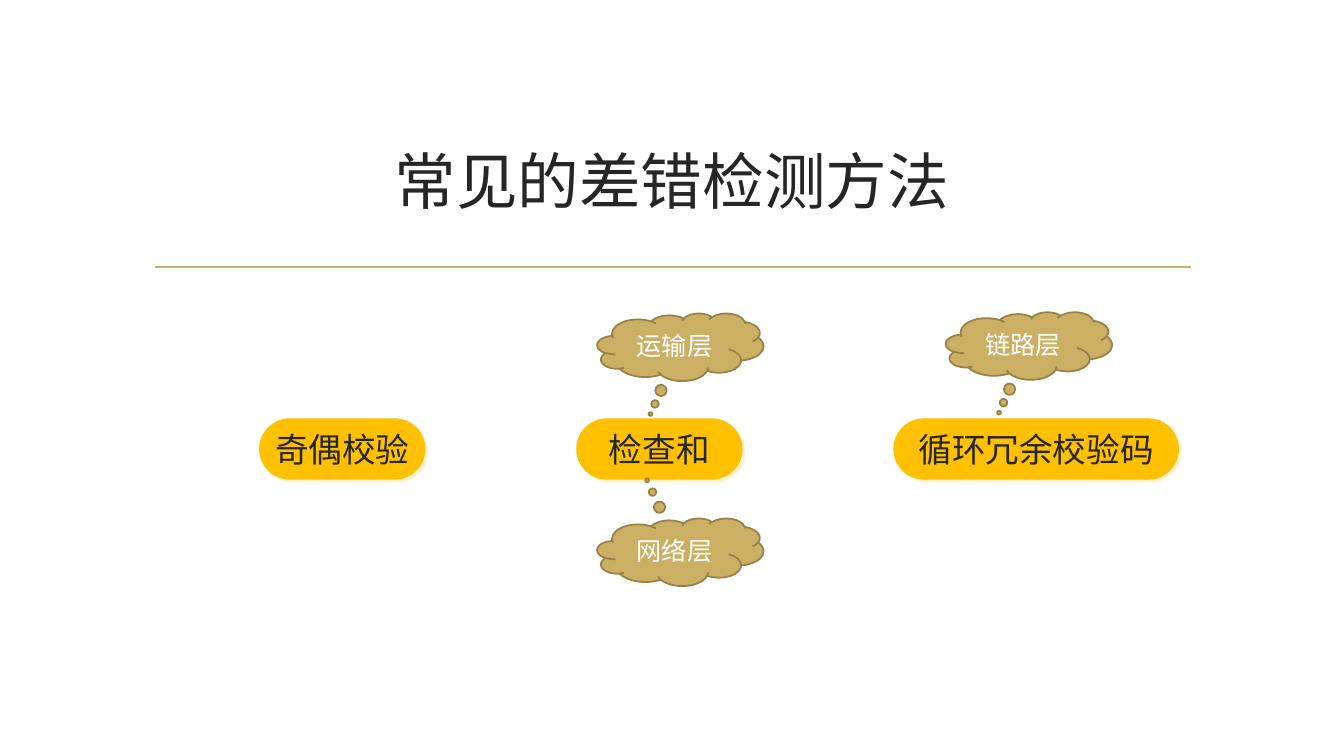
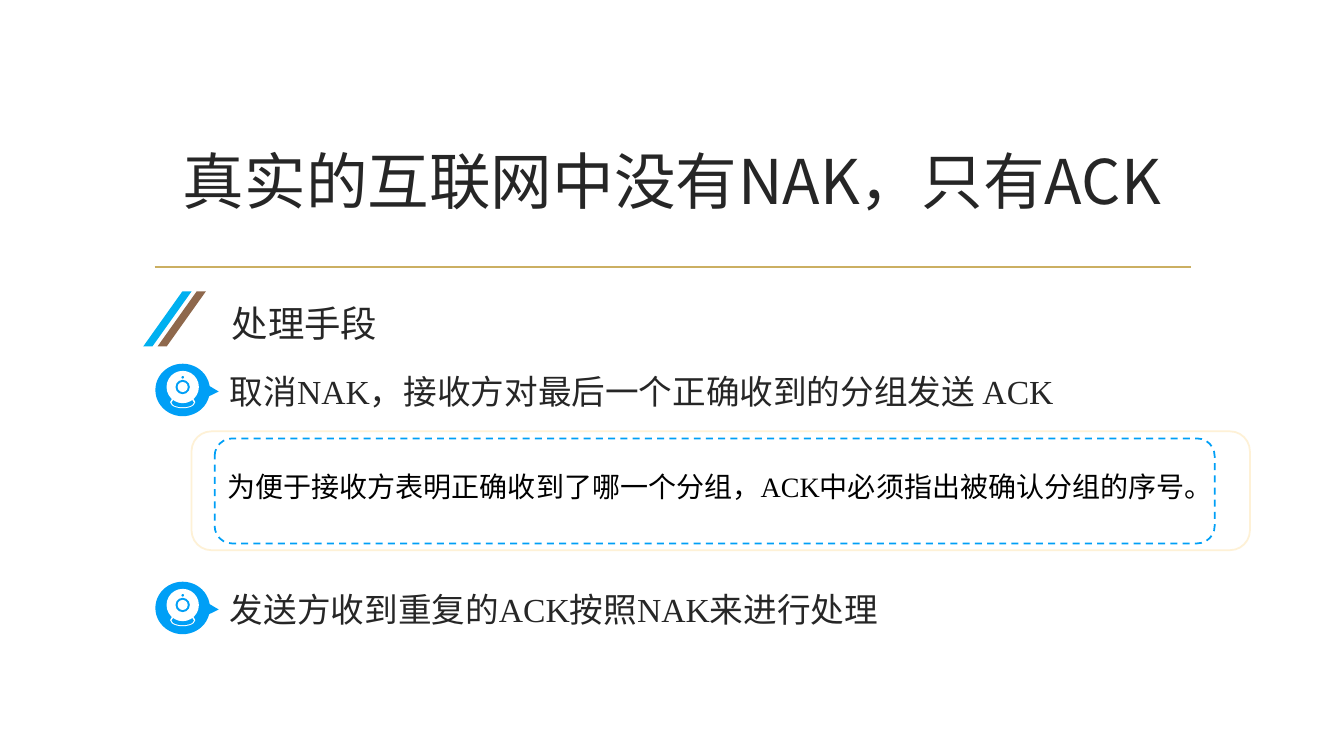
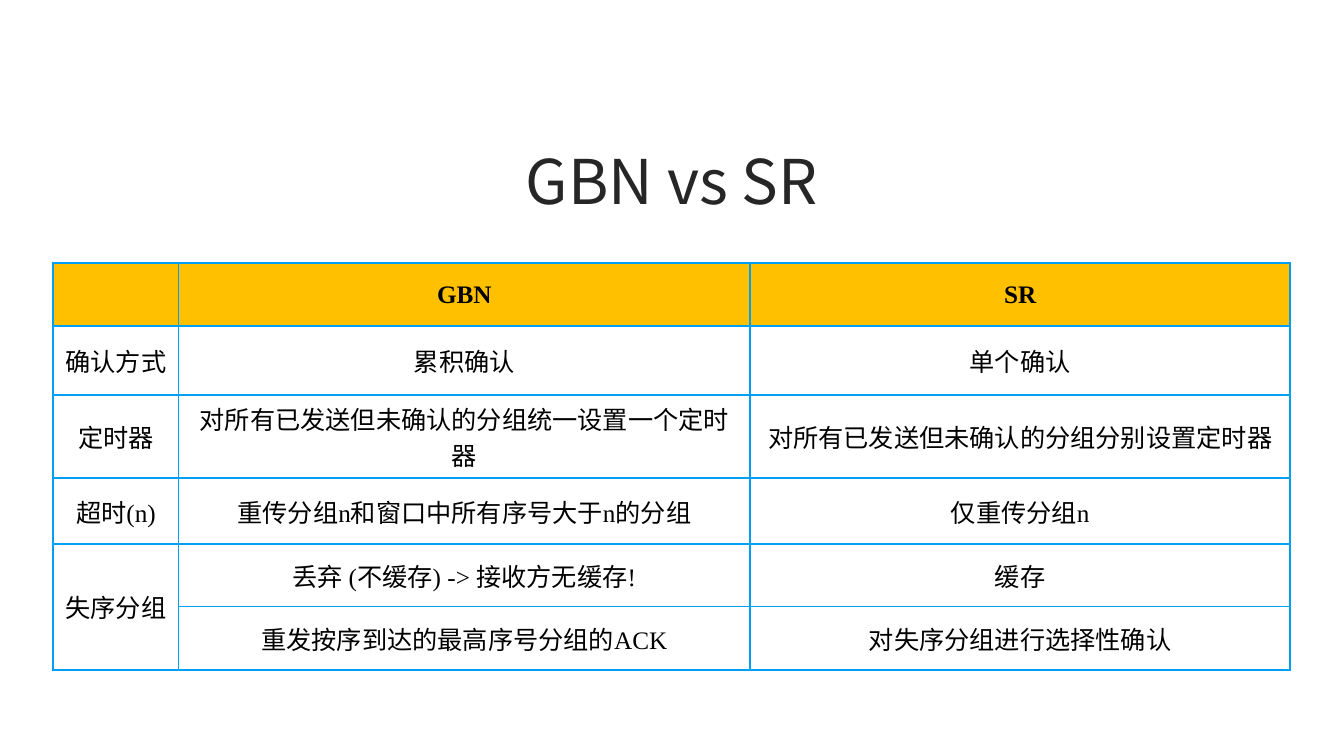
from collections import namedtuple

from lxml import etree
from pptx import Presentation
from pptx import util as u
from pptx.dml.color import RGBColor
from pptx.enum import dml, shapes, text
from pptx.oxml.ns import qn

WIDE, HIGH = u.Inches(13.33), u.Inches(7.5)
COLS, ROWS = 32, 18
SANS, SERIF, ROUND = "Noto Sans CJK SC", "Times New Roman", "Roboto"
INK, BLACK, WHITE = "262626", "000000", "FFFFFF"
GOLD, AMBER, BLUE = "CBAF62", "FFC000", "009FF6"
KIND = shapes.MSO_SHAPE
LEFT, MID = text.PP_ALIGN.LEFT, text.PP_ALIGN.CENTER

Box = namedtuple("Box", "x y w h")


def across(n):
    return round(WIDE * n / COLS)


def down(n):
    return round(HIGH * n / ROWS)


def place(box):
    return across(box.x), down(box.y), across(box.w), down(box.h)


def shift(box, x, y, w, h):
    return Box(box.x + x, box.y + y, w, h)


def rgb(code):
    return RGBColor.from_string(code)


def write(frame, words, size, face, color, align=MID, bold=False, space=None):
    frame.text = words
    frame.vertical_anchor = text.MSO_ANCHOR.MIDDLE
    para = frame.paragraphs[0]
    para.alignment = align
    if space:
        para.line_spacing = space
    for run in para.runs:
        font = run.font
        font.size, font.bold, font.name = u.Pt(size), bold, face
        font.color.rgb = rgb(color)
        east = etree.SubElement(run.font._element, qn("a:ea"))
        east.set("typeface", SANS)


def draw(slide, kind, box, fill=None, line=None, adj=()):
    form = slide.shapes.add_shape(kind, *place(box))
    form.shadow.inherit = False
    for i, n in enumerate(adj):
        form.adjustments[i] = n
    if fill:
        form.fill.solid()
        form.fill.fore_color.rgb = rgb(fill)
    else:
        form.fill.background()
    if line:
        form.line.color.rgb = rgb(line)
        form.line.width = u.Pt(1.25)
    else:
        form.line.fill.background()
    return form


def label(slide, box, words, size, color, space=None):
    frame = slide.shapes.add_textbox(*place(box)).text_frame
    frame.word_wrap = True
    frame.margin_right = 0
    write(frame, words, size, SERIF, color, LEFT, space=space)


def style(deck):
    plan = deck.slide_layouts[5]
    title = plan.placeholders[0]
    title.left, title.top, title.width, title.height = place(Box(3.4, 2.57, 25.2, 3.43))
    return plan


def rule(slide, plan):
    line = slide.shapes.add_connector(
        shapes.MSO_CONNECTOR.STRAIGHT,
        across(3.68), down(6.36), across(28.35), down(6.36))
    line.line.color.rgb = rgb(GOLD)
    line.line.width = u.Pt(1.25)
    etree.SubElement(line.element.spPr, qn("a:effectLst"))
    plan.shapes.element.append(line.element)


def start(deck, plan, words):
    slide = deck.slides.add_slide(plan)
    frame = slide.shapes.title.text_frame
    frame.auto_size = text.MSO_AUTO_SIZE.NONE
    write(frame, words, 44, SANS, INK)
    return slide


def glow(form):
    soft = etree.SubElement(
        form.element.spPr.find(qn("a:effectLst")), qn("a:outerShdw"),
        dist=str(u.Pt(2.8)), dir="2700000", algn="tl", rotWithShape="0")
    etree.SubElement(soft, qn("a:srgbClr"), val="FFF2CC")


def method(slide, box, words, clouds):
    pill = draw(slide, KIND.ROUNDED_RECTANGLE, box, AMBER, adj=[0.5])
    glow(pill)
    pill.text_frame.word_wrap = False
    write(pill.text_frame, words, 24, SANS, INK)
    for layer, x, y, tail in clouds:
        spot = shift(box, x, y, 3.96, 1.61)
        cloud = draw(slide, KIND.CLOUD_CALLOUT, spot, GOLD, "968149", tail)
        write(cloud.text_frame, layer, 18, ROUND, WHITE)


def methods(slide):
    low, high = (-0.18, 0.99), (-0.2, -1.06)
    items = [
        ("奇偶校验", 3.96, []),
        ("检查和", 3.96, [("运输层", 0.5, -2.5, low), ("网络层", 0.5, 2.38, high)]),
        ("循环冗余校验码", 6.8, [("链路层", 1.25, -2.53, low)]),
    ]
    for i, (words, wide, clouds) in enumerate(items):
        method(slide, Box(6.17 + 7.55 * i, 9.96, wide, 1.46), words, clouds)


def heading(slide, box, words):
    for i, color in enumerate(["00B0F0", "8E684C"]):
        bar = shift(box, 0.34 * i, 0, 1.15, box.h)
        draw(slide, KIND.PARALLELOGRAM, bar, color, adj=[0.81])
    label(slide, shift(box, 1.87, 0.09, 5.57, 1.3), words, 26, INK)


def camera(slide, box):
    draw(slide, KIND.OVAL_CALLOUT, box, BLUE, adj=[0.66, 0.03])
    parts = [
        (0.29, 0.6, 0.29, WHITE),
        (0.3, 0.53, 0.22, BLUE),
        (-0.07, 0.77, 0.77, WHITE),
        (-0.07, 0.34, 0.34, BLUE),
        (-0.07, 0.24, 0.24, WHITE),
        (-0.3, 0.06, 0.06, BLUE),
    ]
    for rise, w, h, color in parts:
        spot = shift(box, (box.w - w) / 2, (box.h - h) / 2 + rise, w, h)
        draw(slide, KIND.OVAL, spot, color)


def point(slide, box, words):
    camera(slide, Box(box.x, box.y, 1.3, box.h))
    label(slide, shift(box, 1.54, 0, box.w - 1.54, 1.22), words, 24, INK, 1.1)


def note(slide, box, words):
    draw(slide, KIND.ROUNDED_RECTANGLE, box, WHITE, "FEF1D6")
    label(slide, shift(box, 0.62, 0.79, 23.74, 1.06), words, 20, BLACK)
    dash = draw(slide, KIND.ROUNDED_RECTANGLE, shift(box, 0.55, 0.17, 23.81, 2.5), line=BLUE)
    dash.line.dash_style = dml.MSO_LINE.DASH


def border(cell, color):
    props = cell._tc.get_or_add_tcPr()
    for side in ("lnL", "lnR", "lnT", "lnB"):
        line = etree.SubElement(props, qn("a:" + side), w=str(u.Pt(1.5)))
        fill = etree.SubElement(line, qn("a:solidFill"))
        etree.SubElement(fill, qn("a:srgbClr"), val=color)


def grid(slide, x, y, wides, highs, rows):
    box = Box(x, y, sum(wides), sum(highs))
    table = slide.shapes.add_table(len(highs), len(wides), *place(box)).table
    table.first_row = table.horz_banding = False
    for col, wide in zip(table.columns, wides):
        col.width = across(wide)
    for row, high in zip(table.rows, highs):
        row.height = down(high)
    for r, row in enumerate(rows):
        for c, words in enumerate(row):
            cell = table.cell(r, c)
            border(cell, BLUE)
            if r == 0:
                cell.fill.solid()
                cell.fill.fore_color.rgb = rgb(AMBER)
            else:
                cell.fill.background()
            write(cell.text_frame, words, 18, SERIF, BLACK, bold=r == 0)
            cell.vertical_anchor = text.MSO_ANCHOR.MIDDLE
    return table


def main():
    deck = Presentation()
    deck.slide_width, deck.slide_height = WIDE, HIGH
    plan = style(deck)

    slide = start(deck, plan, "常见的差错检测方法")
    rule(slide, plan)
    methods(slide)

    slide = start(deck, plan, "真实的互联网中没有NAK，只有ACK")
    heading(slide, Box(3.41, 6.94, 7.44, 1.31), "处理手段")
    point(slide, Box(3.7, 8.66, 24.39, 1.25), "取消NAK，接收方对最后一个正确收到的分组发送 ACK")
    note(slide, Box(4.56, 10.27, 25.2, 2.83),
         "为便于接收方表明正确收到了哪一个分组，ACK中必须指出被确认分组的序号。")
    point(slide, Box(3.7, 13.85, 22.64, 1.25), "发送方收到重复的ACK按照NAK来进行处理")

    slide = start(deck, plan, "GBN vs SR")
    table = grid(slide, 1.27, 6.26, [2.98, 13.61, 12.86],
                 [1.51, 1.63, 1.99, 1.56, 1.49, 1.51], [
        ("", "GBN", "SR"),
        ("确认方式", "累积确认", "单个确认"),
        ("定时器", "对所有已发送但未确认的分组统一设置一个定时器",
         "对所有已发送但未确认的分组分别设置定时器"),
        ("超时(n)", "重传分组n和窗口中所有序号大于n的分组", "仅重传分组n"),
        ("失序分组", "丢弃 (不缓存) -> 接收方无缓存!", "缓存"),
        ("", "重发按序到达的最高序号分组的ACK", "对失序分组进行选择性确认"),
    ])
    table.cell(4, 0).merge(table.cell(5, 0))

    deck.save("out.pptx")


if __name__ == "__main__":
    main()
